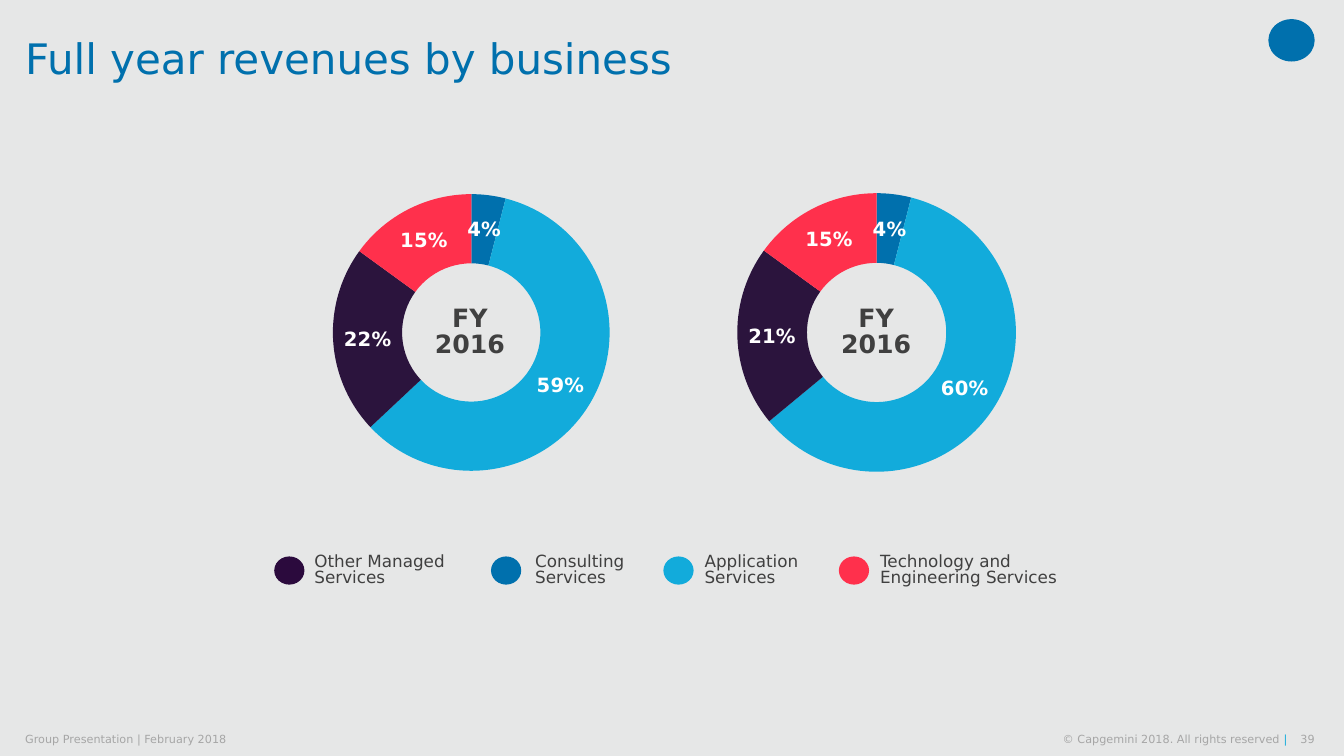
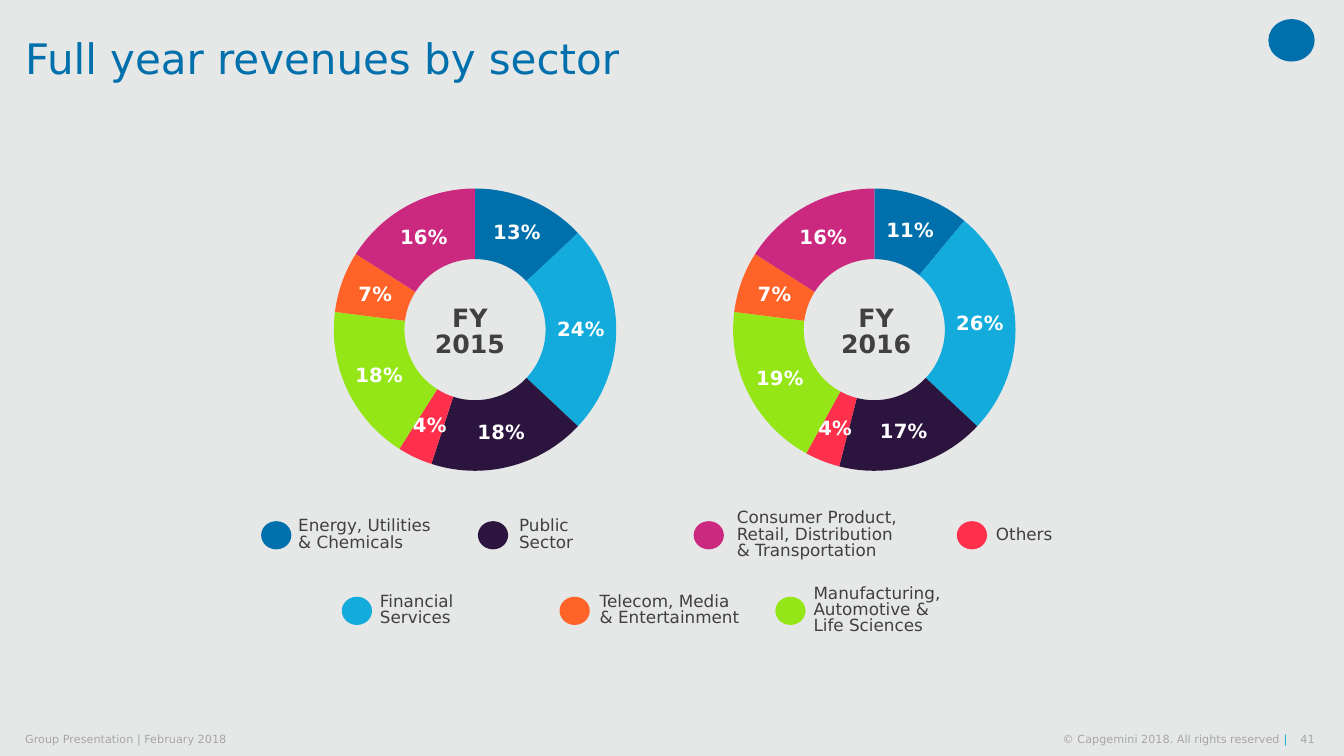
from pptx import Presentation
from pptx.chart.data import CategoryChartData
from pptx.dml.color import RGBColor
from pptx.enum.chart import XL_CHART_TYPE
from pptx.enum.shapes import MSO_SHAPE
from pptx.enum.text import MSO_ANCHOR, MSO_AUTO_SIZE, PP_ALIGN
from pptx.oxml import parse_xml
from pptx.oxml.ns import nsdecls, qn
from pptx.util import Inches, Pt

DOUGHNUT, OVAL = XL_CHART_TYPE.DOUGHNUT, MSO_SHAPE.OVAL
LEFT, CENTER, RIGHT = PP_ALIGN.LEFT, PP_ALIGN.CENTER, PP_ALIGN.RIGHT
MIDDLE, NO_FIT = MSO_ANCHOR.MIDDLE, MSO_AUTO_SIZE.NONE

FONT = "DejaVu Sans"
BLUE, CYAN, PURPLE, RED = "0070AD", "12ABDB", "2B143D", "FF304C"
GREEN, ORANGE, PINK, DEEP_PURPLE = "95E616", "FF6327", "CB2980", "2B0A3D"
PAPER, DARK, GRAY, WHITE = "E6E7E7", "404040", "A6A6A6", "FFFFFF"
COLORS = [BLUE, CYAN, PURPLE, RED, GREEN, ORANGE, PINK]


def rgb(color):
    return RGBColor.from_string(color)


def put(tf, text, size=12, color=DARK, bold=False, align=LEFT, spacing=None,
        margin=0, wrap=True):
    """Append text to the last paragraph; each newline starts another one."""
    tf.margin_left = tf.margin_right = Inches(margin)
    tf.margin_top = tf.margin_bottom = Inches(margin / 2)
    tf.vertical_anchor, tf.auto_size, tf.word_wrap = MIDDLE, NO_FIT, wrap
    for i, line in enumerate(text.split("\n")):
        p = tf.add_paragraph() if i else tf.paragraphs[-1]
        p.alignment = align
        p.line_spacing = spacing
        r = p.add_run()
        r.text = line
        r.font.name, r.font.size, r.font.bold = FONT, Pt(size), bold
        r.font.color.rgb = rgb(color)


# Charts: left, top, width, height, values; plot: x, y, w, h as fractions
# Legend: dot left, dot middle, text left, text width, colour, text
SLIDES = [
    dict(
        title="Full year revenues by business", number="39",
        plot=(0.06, 0.02, 0.88, 0.97),
        charts=[
            (2.81, 1.87, 3.73, 2.83, "FY\n2016", [0.04, 0.59, 0.22, 0.15]),
            (6.82, 1.86, 3.75, 2.85, "FY\n2016", [0.04, 0.6, 0.21, 0.15]),
        ],
        legend=[
            (2.72, 5.66, 3.02, 1.89, DEEP_PURPLE, "Other Managed Services"),
            (4.87, 5.66, 5.21, 1.39, BLUE, "Consulting Services"),
            (6.58, 5.66, 6.89, 1.37, CYAN, "Application Services"),
            (8.32, 5.66, 8.63, 1.99, RED, "Technology and Engineering Services"),
        ]),
    dict(
        title="Full year revenues by sector", number="41",
        plot=(0.06, 0, 0.9, 0.99),
        charts=[
            (2.81, 1.87, 3.73, 2.83, "FY\n2015",
             [0.13, 0.24, 0.18, 0.04, 0.18, 0.07, 0.16]),
            (6.77, 1.87, 3.73, 2.83, "FY\n2016",
             [0.11, 0.26, 0.17, 0.04, 0.19, 0.07, 0.16]),
        ],
        legend=[
            (2.59, 5.31, 2.86, 1.54, BLUE, "Energy, Utilities & Chemicals"),
            (4.74, 5.31, 5.05, 0.91, PURPLE, "Public Sector"),
            (6.88, 5.31, 7.21, 1.84, PINK,
             "Consumer Product, Retail, Distribution\n& Transportation"),
            (9.49, 5.31, 9.78, 0.96, RED, "Others"),
            (3.39, 6.06, 3.67, 1.12, CYAN, "Financial\nServices"),
            (5.55, 6.06, 5.85, 1.64, ORANGE, "Telecom, Media\n& Entertainment"),
            (7.69, 6.06, 7.97, 1.68, GREEN,
             "Manufacturing, Automotive &\nLife Sciences"),
        ]),
]
FOOTERS = [(0.25, 5.16, LEFT, [("Group Presentation | February 2018", GRAY)]),
           (9.86, 2.91, RIGHT, [("© Capgemini 2018. All rights reserved ", GRAY),
                                ("|", CYAN)])]
CENTERS = [4.2, 8.23]

prs = Presentation()
prs.slide_width, prs.slide_height = Inches(13.33), Inches(7.5)

# Shared background and title position
fill = prs.slide_master.background.fill
fill.solid()
fill.fore_color.rgb = rgb(PAPER)
layout = prs.slide_layouts[5]
title = layout.placeholders[0]
title.left, title.top = Inches(0.25), Inches(0)
title.width, title.height = Inches(12.17), Inches(1.21)

for data in SLIDES:
    s = prs.slides.add_slide(layout)
    put(s.shapes.title.text_frame, data["title"], size=30, color=BLUE, spacing=0.9)

    # Emblem and legend dots
    dots = [(12.58, 0.19, 0.46, 0.42, BLUE)]
    dots += [(x, y - 0.14, 0.3, 0.28, color)
             for x, y, _, _, color, _ in data["legend"]]
    for x, y, w, h, color in dots:
        dot = s.shapes.add_shape(OVAL, Inches(x), Inches(y), Inches(w), Inches(h))
        dot.shadow.inherit = False
        dot.fill.solid()
        dot.fill.fore_color.rgb = rgb(color)
        dot.line.fill.background()

    # Footer
    number = [(12.74, 0.3, RIGHT, [(data["number"], GRAY)])]
    for x, w, align, parts in FOOTERS + number:
        box = s.shapes.add_textbox(Inches(x), Inches(7.27), Inches(w), Inches(0.13))
        for text, color in parts:
            put(box.text_frame, text, size=8, color=color, align=align)

    # Doughnut charts with the year in the hole
    for center, (x, y, w, h, year, values) in zip(CENTERS, data["charts"]):
        cd = CategoryChartData(number_format="0%")
        cd.categories = [str(i + 1) for i in range(len(values))]
        cd.add_series("Series 1", values)
        chart = s.shapes.add_chart(DOUGHNUT, Inches(x), Inches(y), Inches(w),
                                   Inches(h), cd).chart
        chart.has_legend = chart.has_title = False
        chart.font.name, chart.font.size = FONT, Pt(18)
        plot = chart.plots[0]
        plot.vary_by_categories = True
        for i, color in enumerate(COLORS[:len(values)]):
            fmt = plot.series[0].points[i].format
            fmt.fill.solid()
            fmt.fill.fore_color.rgb = rgb(color)
            fmt.line.fill.background()
        plot.has_data_labels = True
        labels = plot.data_labels
        labels.show_value, labels.show_percentage = True, False
        labels.number_format, labels.number_format_is_linked = "0%", False
        labels.font.name, labels.font.size, labels.font.bold = FONT, Pt(14), True
        labels.font.color.rgb = rgb(WHITE)

        # Fixed plot area
        area = chart.element.find(".//" + qn("c:plotArea"))
        for old in area.findall(qn("c:layout")):
            area.remove(old)
        sizes = "".join(f'<c:{tag} val="{v}"/>' for tag, v in zip("xywh", data["plot"]))
        area.insert(0, parse_xml(
            f'<c:layout {nsdecls("c")}><c:manualLayout><c:layoutTarget val="inner"/>'
            f'<c:xMode val="edge"/><c:yMode val="edge"/>{sizes}'
            '</c:manualLayout></c:layout>'))

        box = s.shapes.add_textbox(Inches(center), Inches(2.99), Inches(0.92),
                                   Inches(0.62))
        put(box.text_frame, year, size=18, bold=True, align=CENTER, spacing=0.85,
            margin=0.1, wrap=False)

    # Legend text
    for _, y, x, w, _, text in data["legend"]:
        box = s.shapes.add_textbox(Inches(x), Inches(y - 0.3), Inches(w), Inches(0.6))
        put(box.text_frame, text, spacing=0.8, margin=0.1)

prs.save("out.pptx")
